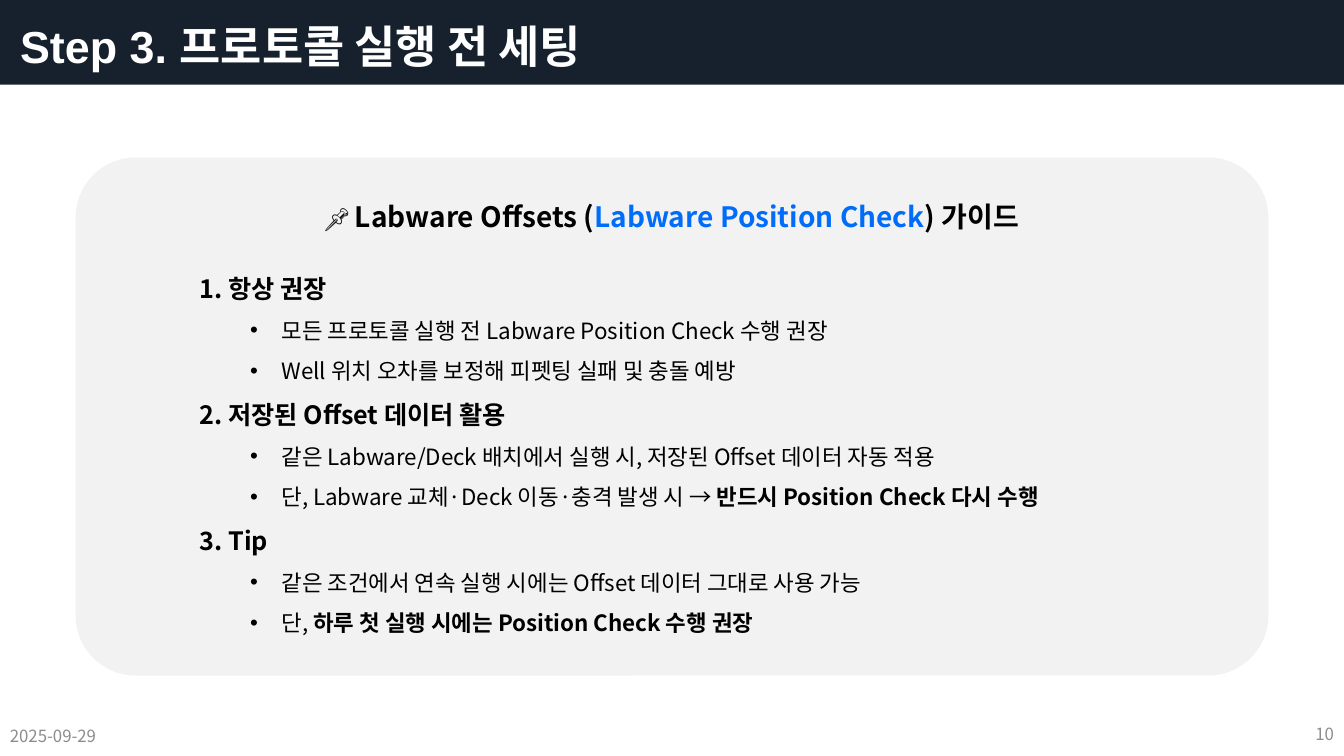
"""Build the slide on settings to check before running a protocol."""
from lxml import etree
from pptx import Presentation
from pptx.dml.color import RGBColor
from pptx.enum.shapes import MSO_SHAPE
from pptx.enum.text import MSO_ANCHOR, MSO_AUTO_SIZE, PP_ALIGN
from pptx.oxml.ns import qn
from pptx.util import Pt

COLORS = {"navy": "16212D", "panel": "F2F2F2", "white": "FFFFFF",
          "black": "000000", "blue": "006CFA", "gray": "8C8C8C"}
KOREAN_FONT = "Noto Sans CJK KR"
LINE_FACTOR = 1.8


def add_run(paragraph, text, size, color="black", bold=False, name=KOREAN_FONT):
    run = paragraph.add_run()
    run.text = text
    formats = {"size": Pt(size), "bold": bold, "name": name}
    for attribute, value in formats.items():
        setattr(run.font, attribute, value)
    run.font.color.rgb = RGBColor.from_string(COLORS[color])
    east_asian = etree.SubElement(run.font._element, qn("a:ea"))
    east_asian.set("typeface", KOREAN_FONT)


def set_frame(shape, anchor, auto_size=MSO_AUTO_SIZE.NONE):
    formats = {"word_wrap": True, "vertical_anchor": anchor, "auto_size": auto_size}
    for attribute, value in formats.items():
        setattr(shape.text_frame, attribute, value)
    return shape.text_frame


presentation = Presentation()
presentation.slide_width = Pt(960)
presentation.slide_height = Pt(540)
slide = presentation.slides.add_slide(presentation.slide_layouts[5])
title = slide.shapes.title

backgrounds = [
    (MSO_SHAPE.ROUNDED_RECTANGLE, (54, 112.5, 852, 370), "panel"),
    (MSO_SHAPE.RECTANGLE, (0, 0, 960, 60.5), "navy"),
]
for kind, box, color in backgrounds:
    shape = slide.shapes.add_shape(kind, *map(Pt, box))
    shape.shadow.inherit = False
    shape.fill.solid()
    shape.fill.fore_color.rgb = RGBColor.from_string(COLORS[color])
    shape.line.fill.background()
    if kind == MSO_SHAPE.ROUNDED_RECTANGLE:
        shape.adjustments[0] = 0.116
    title.element.addprevious(shape.element)

title_box = {"left": 7.2, "top": 7.2, "width": 841, "height": 46}
for attribute, value in title_box.items():
    setattr(title, attribute, Pt(value))
paragraph = set_frame(title, MSO_ANCHOR.TOP).paragraphs[0]
paragraph.alignment = PP_ALIGN.LEFT
paragraph.line_spacing = Pt(41)
add_run(paragraph, "Step 3. 프로토콜 실행 전 세팅", 32, "white", True, "Arial")

guide = slide.shapes.add_textbox(Pt(135.5), Pt(126.7), Pt(688.5), Pt(341.5))
guide_frame = set_frame(guide, MSO_ANCHOR.TOP)
paragraph = guide_frame.paragraphs[0]
paragraph.alignment = PP_ALIGN.CENTER
paragraph.line_spacing = Pt(20 * LINE_FACTOR)
paragraph.space_after = Pt(18)
add_run(paragraph, "📌 ", 18)
add_run(paragraph, "Labware Offsets (", 20, bold=True)
add_run(paragraph, "Labware Position Check", 20, "blue", True)
add_run(paragraph, ") 가이드", 20, bold=True)

sections = [
    ("1. 항상 권장", [
        ("모든 프로토콜 실행 전 Labware Position Check 수행 권장", ""),
        ("Well 위치 오차를 보정해 피펫팅 실패 및 충돌 예방", "")]),
    ("2. 저장된 Offset 데이터 활용", [
        ("같은 Labware/Deck 배치에서 실행 시, 저장된 Offset 데이터 자동 적용", ""),
        ("단, Labware 교체·Deck 이동·충격 발생 시 → ",
         "반드시 Position Check 다시 수행")]),
    ("3. Tip", [
        ("같은 조건에서 연속 실행 시에는 Offset 데이터 그대로 사용 가능", ""),
        ("단, ", "하루 첫 실행 시에는 Position Check 수행 권장")]),
]
for heading, items in sections:
    paragraph = guide_frame.add_paragraph()
    paragraph.line_spacing = Pt(18 * LINE_FACTOR)
    add_run(paragraph, heading, 18, bold=True)
    for plain, strong in items:
        paragraph = guide_frame.add_paragraph()
        paragraph.level = 1
        paragraph.line_spacing = Pt(16 * LINE_FACTOR)
        properties = paragraph._p.get_or_add_pPr()
        properties.set("marL", str(Pt(58.5)))
        properties.set("indent", str(Pt(-22.5)))
        etree.SubElement(properties, qn("a:buFont")).set("typeface", "Arial")
        etree.SubElement(properties, qn("a:buChar")).set("char", "•")
        add_run(paragraph, plain, 16)
        if strong:
            add_run(paragraph, strong, 16, bold=True)

footers = [("2025-09-29", 0, 511, PP_ALIGN.LEFT), ("10", 744, 510, PP_ALIGN.RIGHT)]
for text, left, top, alignment in footers:
    footer = slide.shapes.add_textbox(Pt(left), Pt(top), Pt(216), Pt(28.8))
    paragraph = set_frame(footer, MSO_ANCHOR.MIDDLE).paragraphs[0]
    paragraph.alignment = alignment
    add_run(paragraph, text, 12, "gray")

presentation.save("out.pptx")
